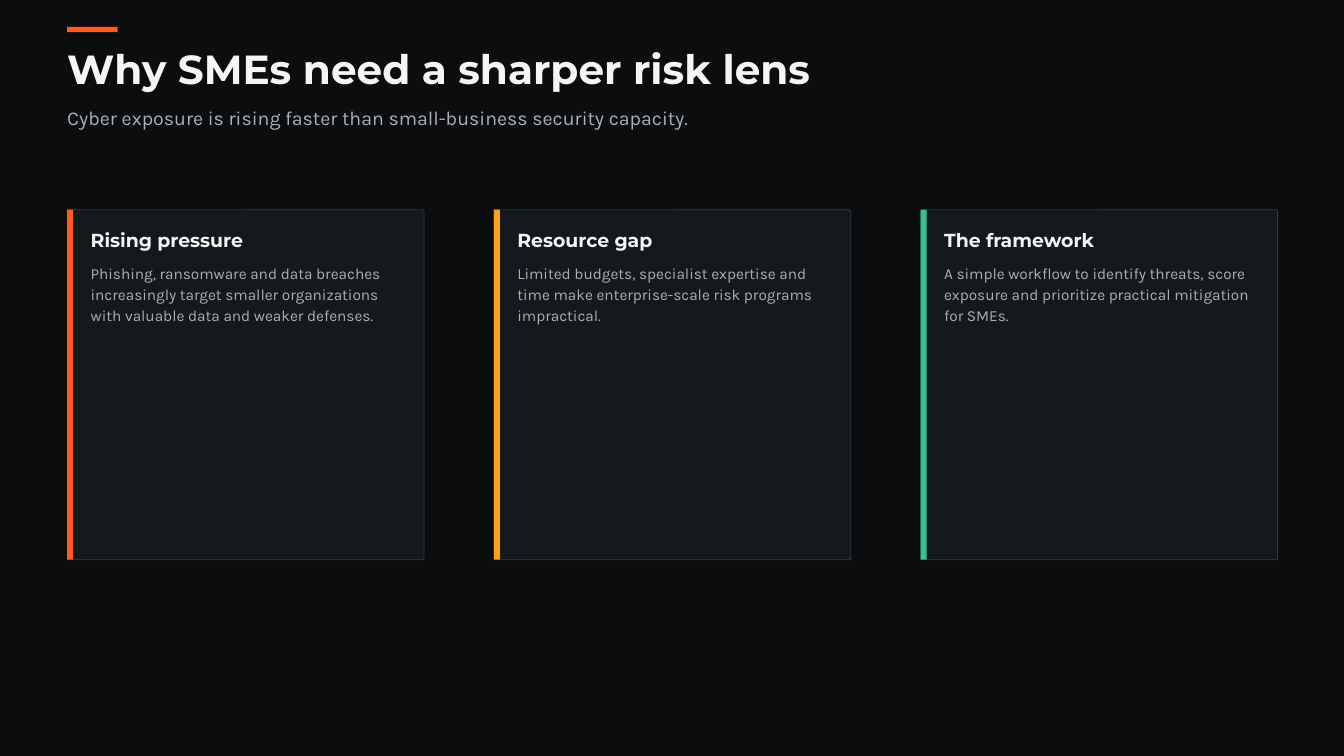
"""Build the slide on why SMEs need a sharper risk lens."""
from pptx import Presentation
from pptx.dml.color import RGBColor
from pptx.enum.shapes import MSO_SHAPE
from pptx.util import Inches, Pt

RECT = MSO_SHAPE.RECTANGLE
ROUNDED = MSO_SHAPE.ROUNDED_RECTANGLE

TITLE = "Why SMEs need a sharper risk lens"
SUBTITLE = "Cyber exposure is rising faster than small-business security capacity."
CARDS = [
    ("Rising pressure", "orange",
     "Phishing, ransomware and data breaches increasingly target smaller "
     "organizations with valuable data and weaker defenses."),
    ("Resource gap", "amber",
     "Limited budgets, specialist expertise and time make enterprise-scale "
     "risk programs impractical."),
    ("The framework", "green",
     "A simple workflow to identify threats, score exposure and prioritize "
     "practical mitigation for SMEs."),
]
COLORS = {
    "background": "0B0D0F", "card": "15191D", "border": "343A40",
    "heading": "F4F5F6", "body": "A9B0B7",
    "orange": "FF5A1F", "amber": "FF9F1C", "green": "31C48D",
}
STYLES = {
    "title": ("Montserrat", 43.5, 47, "heading", True),
    "subtitle": ("Karla", 21, 28.4, "body", False),
    "card title": ("Montserrat", 20.2, 23.3, "heading", True),
    "card body": ("Karla", 16.5, 22.3, "body", False),
}
MARGIN = 1
CARD_TOP, CARD_WIDTH, CARD_HEIGHT, CARD_PITCH = 3.12, 5.31, 5.21, 6.35
CARD_RADIUS = 0.02
TEXT_INDENT, TEXT_WIDTH = 0.35, 4.67


def rgb(name):
    return RGBColor.from_string(COLORS[name])


def add_box(s, kind, left, top, width, height, fill, line=None):
    sp = s.shapes.add_shape(kind, Inches(left), Inches(top), Inches(width), Inches(height))
    sp.shadow.inherit = False
    sp.fill.solid()
    sp.fill.fore_color.rgb = rgb(fill)
    if line:
        sp.line.color.rgb = rgb(line)
        sp.line.width = Pt(0.75)
    else:
        sp.line.fill.background()
    return sp


def add_text(s, text, style, left, top, width, height):
    font, size, spacing, color, bold = STYLES[style]
    sp = s.shapes.add_textbox(Inches(left), Inches(top), Inches(width), Inches(height))
    tf = sp.text_frame
    tf.word_wrap = True
    tf.margin_left = tf.margin_right = tf.margin_top = tf.margin_bottom = 0
    p = tf.paragraphs[0]
    p.line_spacing = Pt(spacing)
    r = p.add_run()
    r.text = text
    r.font.name = font
    r.font.size = Pt(size)
    r.font.bold = bold
    r.font.color.rgb = rgb(color)


def add_card(s, left, heading, accent, body):
    card = add_box(s, ROUNDED, left, CARD_TOP, CARD_WIDTH, CARD_HEIGHT, "card", "border")
    card.adjustments[0] = CARD_RADIUS / CARD_HEIGHT
    add_box(s, RECT, left, CARD_TOP, 0.09, CARD_HEIGHT, accent)
    text_left = left + TEXT_INDENT
    add_text(s, heading, "card title", text_left, CARD_TOP + 0.3, TEXT_WIDTH, 0.33)
    add_text(s, body, "card body", text_left, CARD_TOP + 0.78, TEXT_WIDTH, 0.9)


def main():
    prs = Presentation()
    prs.slide_width, prs.slide_height = Inches(20), Inches(11.25)
    s = prs.slides.add_slide(prs.slide_layouts[6])
    s.background.fill.solid()
    s.background.fill.fore_color.rgb = rgb("background")
    add_text(s, TITLE, "title", MARGIN, 0.73, 15.1, 0.66)
    add_text(s, SUBTITLE, "subtitle", MARGIN, 1.53, 15.62, 0.38)
    add_box(s, RECT, MARGIN, 0.4, 0.75, 0.08, "orange")
    for i, (heading, accent, body) in enumerate(CARDS):
        add_card(s, MARGIN + i * CARD_PITCH, heading, accent, body)
    prs.save("out.pptx")


if __name__ == "__main__":
    main()
